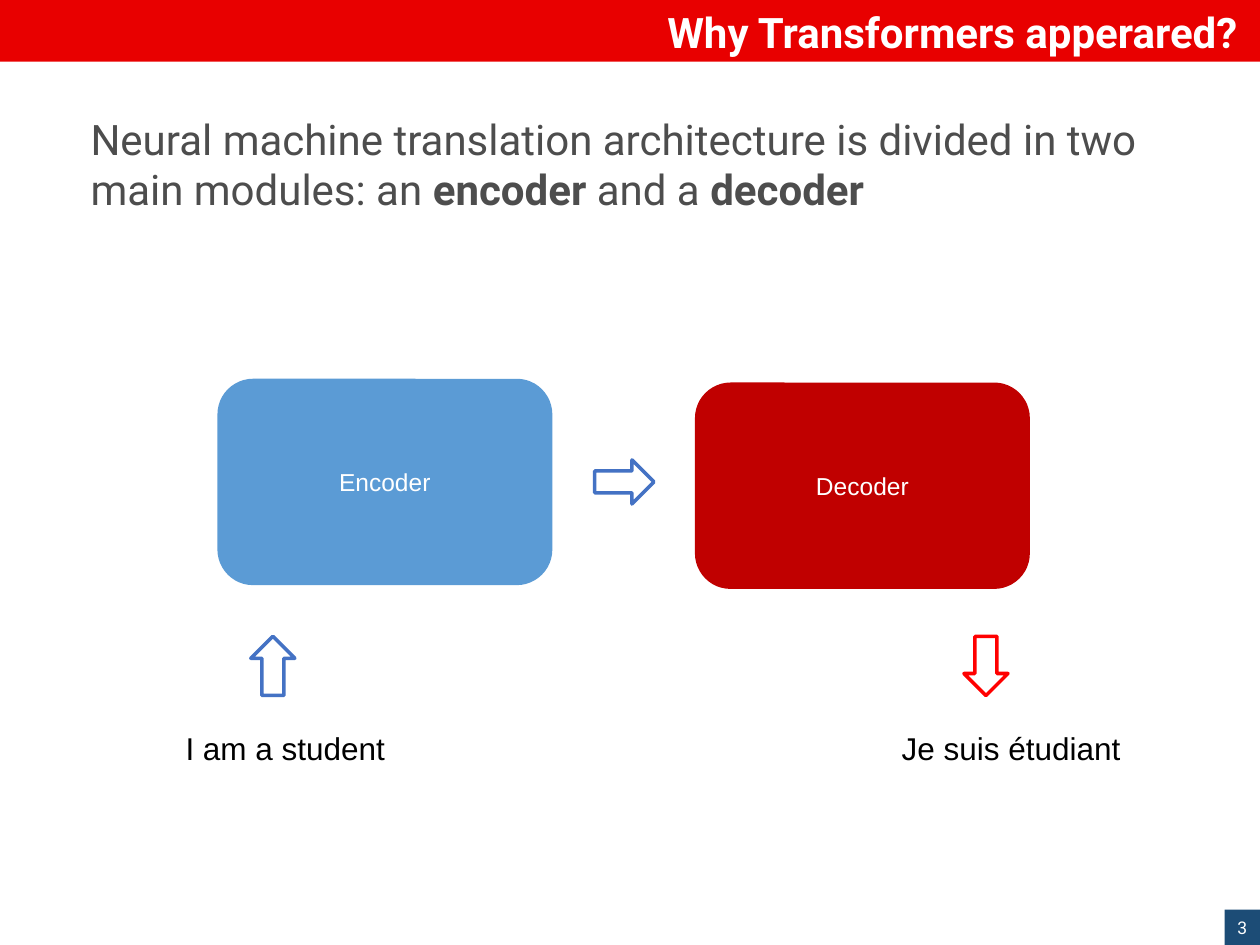
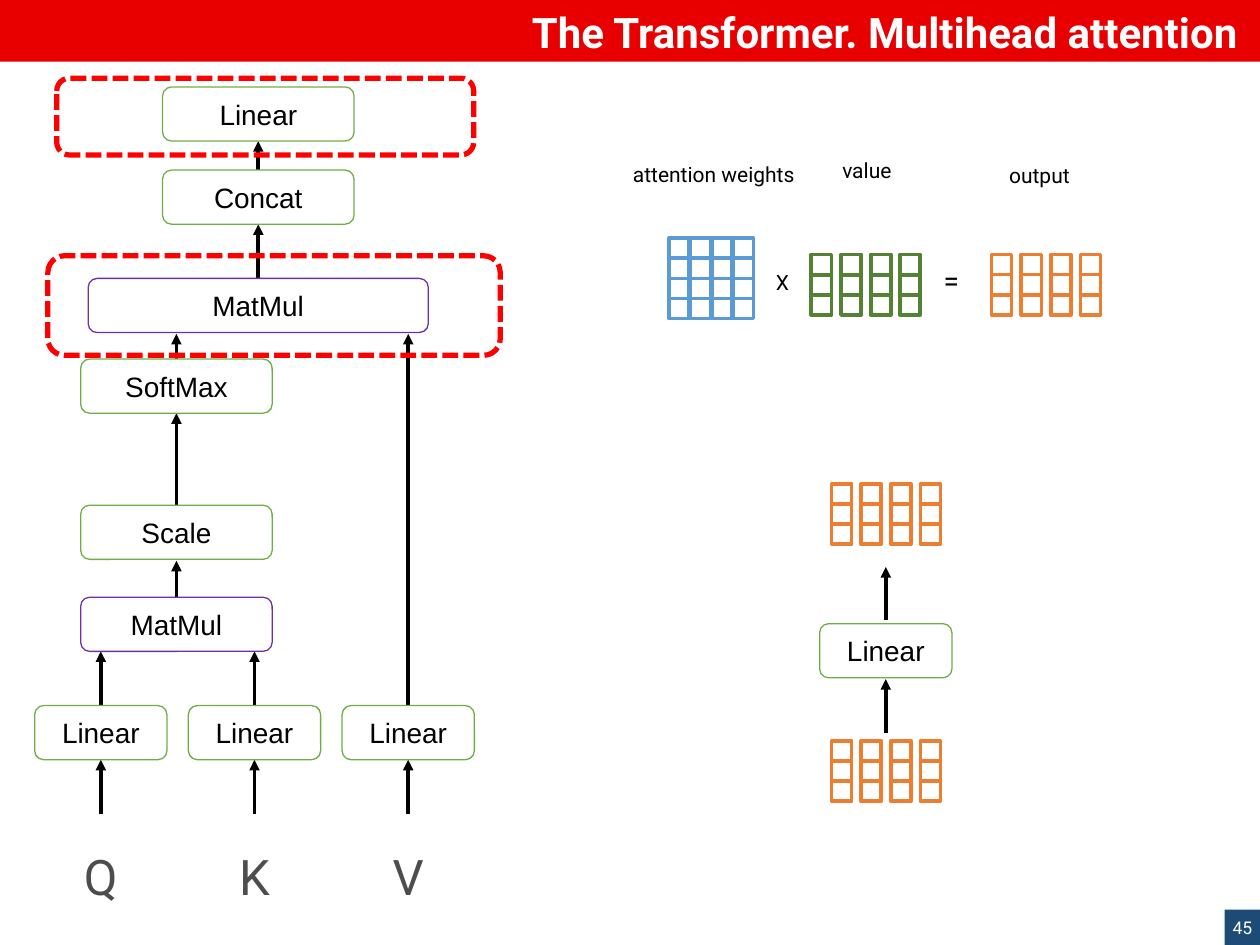
from lxml.etree import SubElement
from pptx import Presentation
from pptx.dml.color import RGBColor
from pptx.enum.dml import MSO_LINE
from pptx.enum.shapes import MSO_CONNECTOR, MSO_SHAPE
from pptx.enum.text import MSO_ANCHOR, PP_ALIGN
from pptx.oxml.ns import qn
from pptx.util import Inches, Pt

# Shared look
WIDTH, HEIGHT = 10, 7.5
BAND_HEIGHT, PAGE_BOX = 0.49, 0.28
HEADING, BODY = "Roboto", "Arial"
WHITE, BLACK, GREY = "FFFFFF", "000000", "4D4D4D"
BAND_RED, NAVY, RED = "E80000", "1C4C76", "FF0000"
BLUE, DARK_RED, ARROW_BLUE = "5B9BD5", "C00000", "4472C4"
GREEN, PURPLE, DARK_GREEN, ORANGE = "70AD47", "7030A0", "548235", "ED7D31"

# Encoder and decoder slide; inches as left, top, width, height
INTRO_TITLE, INTRO_PAGE = "Why Transformers apperared?", "3"
INTRO = [("Neural machine translation architecture is divided in two main modules: an ", False),
         ("encoder", True), (" and a ", False), ("decoder", True)]
MODULES = [("Encoder", 1.74, 3.02, BLUE), ("Decoder", 5.53, 3.05, DARK_RED)]
MODULE_SIZE = (2.63, 1.61)
SENTENCES = [("I am a student", 1.08), ("Je suis étudiant", 6.84)]
BLOCK_ARROWS = [(1.99, 5.05, 0, ARROW_BLUE), (4.78, 3.59, 90, ARROW_BLUE),
                (7.65, 5.05, 180, RED)]

# Multihead attention slide
ATTENTION_TITLE, ATTENTION_PAGE = "The Transformer. Multihead attention", "45"
BOX_HEIGHT = 0.43
LINEAR_WIDTH, STEP_WIDTH, WIDE_WIDTH = 1.05, 1.52, 2.7
LEFT_AXIS, TOP_AXIS, VALUE_AXIS, RIGHT_AXIS = 1.4, 2.05, 3.24, 7.03
BRANCH_AXES = [VALUE_AXIS - 1.22 * steps for steps in (2, 1, 0)]
BRANCHES = list(zip("QKV", BRANCH_AXES))
PROJECTION_TOP, INPUT_BOTTOM = 5.6, 6.46
STEPS = [  # label, centre, top, width, outline
    ("Linear", TOP_AXIS, 0.69, STEP_WIDTH, GREEN),
    ("Concat", TOP_AXIS, 1.35, STEP_WIDTH, GREEN),
    ("MatMul", TOP_AXIS, 2.21, WIDE_WIDTH, PURPLE),
    ("SoftMax", LEFT_AXIS, 2.85, STEP_WIDTH, GREEN),
    ("Scale", LEFT_AXIS, 4.01, STEP_WIDTH, GREEN),
    ("MatMul", LEFT_AXIS, 4.74, STEP_WIDTH, PURPLE),
    ("Linear", RIGHT_AXIS, 4.95, LINEAR_WIDTH, GREEN),
] + [("Linear", axis, PROJECTION_TOP, LINEAR_WIDTH, GREEN) for axis in BRANCH_AXES]
FLOWS = [  # centre, start, end
    (TOP_AXIS, 1.35, 1.12), (TOP_AXIS, 2.21, 1.78),
    (LEFT_AXIS, 2.85, 2.65), (LEFT_AXIS, 4.01, 3.28), (LEFT_AXIS, 4.74, 4.45),
    (RIGHT_AXIS, 5.82, 5.39), (RIGHT_AXIS, 4.92, 4.5),
] + [(axis, PROJECTION_TOP, end) for axis, end in zip(BRANCH_AXES, (5.17, 5.17, 2.65))] \
  + [(axis, INPUT_BOTTOM, PROJECTION_TOP + BOX_HEIGHT) for axis in BRANCH_AXES]
HIGHLIGHTS = [(0.45, 0.62, 3.31, 0.61), (0.38, 2.03, 3.59, 0.79)]
FORMULA = [  # text, box, size
    ("attention weights", (4.87, 1.23, 1.59, 0.42), 12),
    ("value", (6.32, 1.2, 1.12, 0.41), 12),
    ("output", (7.55, 1.24, 1.4, 0.3), 12),
    ("X", (6, 2.09, 0.42, 0.36), 12),
    ("=", (7.34, 2.04, 0.42, 0.36), 16)]
CELL = 0.16
MATRICES = [  # left, top, rows, column pitch, outline, line width
    (5.31, 1.89, 4, 0.17, BLUE, 2), (6.44, 2.02, 3, 0.235, DARK_GREEN, 2.25),
    (7.87, 2.02, 3, 0.235, ORANGE, 2), (6.6, 3.84, 3, 0.235, ORANGE, 2),
    (6.6, 5.88, 3, 0.235, ORANGE, 2)]
MATRIX_COLUMNS = 4


def color(value):
    return RGBColor.from_string(value)


def write(shape, runs, size, font, ink, align=PP_ALIGN.CENTER, anchor=MSO_ANCHOR.MIDDLE):
    """Fill a shape with one paragraph of (text, bold) runs."""
    frame = shape.text_frame
    frame.word_wrap = True
    frame.vertical_anchor = anchor
    paragraph = frame.paragraphs[0]
    paragraph.alignment = align
    for text, bold in runs:
        run = paragraph.add_run()
        run.text = text
        run.font.size, run.font.name, run.font.bold = Pt(size), font, bold
        run.font.color.rgb = color(ink)


def add_text(slide, box, runs, size, font, ink, **layout):
    shape = slide.shapes.add_textbox(*map(Inches, box))
    write(shape, runs, size, font, ink, **layout)


def add_box(slide, kind, box, fill=None, outline=None, width=2):
    shape = slide.shapes.add_shape(kind, *map(Inches, box))
    shape.shadow.inherit = False
    if fill:
        shape.fill.solid()
        shape.fill.fore_color.rgb = color(fill)
    else:
        shape.fill.background()
    if outline:
        shape.line.color.rgb = color(outline)
        shape.line.width = Pt(width)
    else:
        shape.line.fill.background()
    return shape


def add_flow(slide, axis, start, end):
    points = map(Inches, (axis, start, axis, end))
    connector = slide.shapes.add_connector(MSO_CONNECTOR.STRAIGHT, *points)
    connector.line.color.rgb = color(BLACK)
    connector.line.width = Pt(2)
    SubElement(connector.line._get_or_add_ln(), qn("a:tailEnd"), type="triangle")
    SubElement(connector._element.spPr, qn("a:effectLst"))


def add_matrix(slide, left, top, rows, pitch, outline, width):
    for column in range(MATRIX_COLUMNS):
        for row in range(rows):
            cell = (left + column * pitch, top + row * CELL, CELL, CELL)
            add_box(slide, MSO_SHAPE.RECTANGLE, cell, WHITE, outline, width)


def new_slide(presentation, title, page):
    """Add a blank slide with the title band and the page number."""
    slide = presentation.slides.add_slide(presentation.slide_layouts[6])
    add_box(slide, MSO_SHAPE.RECTANGLE, (0, 0, WIDTH, BAND_HEIGHT), BAND_RED)
    add_text(slide, (1.42, 0.09, 8.5, 0.33), [(title, True)], 24, HEADING, WHITE,
             align=PP_ALIGN.RIGHT)
    corner = (WIDTH - PAGE_BOX, HEIGHT - PAGE_BOX, PAGE_BOX, PAGE_BOX)
    number = add_box(slide, MSO_SHAPE.RECTANGLE, corner, NAVY)
    frame = number.text_frame
    frame.margin_left = frame.margin_right = Inches(0.04)
    frame.margin_top = frame.margin_bottom = Inches(0.04)
    write(number, [(page, False)], 10, HEADING, WHITE)
    return slide


def build_intro(presentation):
    slide = new_slide(presentation, INTRO_TITLE, INTRO_PAGE)
    add_text(slide, (0.62, 0.85, 8.78, 0.84), INTRO, 24, HEADING, GREY,
             align=PP_ALIGN.LEFT, anchor=MSO_ANCHOR.TOP)
    for label, left, top, fill in MODULES:
        module = add_box(slide, MSO_SHAPE.ROUNDED_RECTANGLE, (left, top, *MODULE_SIZE),
                         fill, fill)
        write(module, [(label, False)], 14, BODY, WHITE)
    for left, top, rotation, outline in BLOCK_ARROWS:
        arrow = add_box(slide, MSO_SHAPE.UP_ARROW, (left, top, 0.35, 0.47), WHITE, outline)
        arrow.rotation = rotation
    for sentence, left in SENTENCES:
        add_text(slide, (left, 5.74, 2.37, 0.4), [(sentence, False)], 18, BODY, BLACK,
                 anchor=MSO_ANCHOR.TOP)


def build_attention(presentation):
    slide = new_slide(presentation, ATTENTION_TITLE, ATTENTION_PAGE)
    # Layer diagram
    for flow in FLOWS:
        add_flow(slide, *flow)
    for label, axis, top, width, outline in STEPS:
        box = (axis - width / 2, top, width, BOX_HEIGHT)
        step = add_box(slide, MSO_SHAPE.ROUNDED_RECTANGLE, box, None, outline, 0.75)
        write(step, [(label, False)], 16, BODY, BLACK)
    for letter, axis in BRANCHES:
        add_text(slide, (axis - 0.25, 6.72, 0.5, 0.46), [(letter, False)], 28, HEADING, GREY)
    for box in HIGHLIGHTS:
        highlight = add_box(slide, MSO_SHAPE.ROUNDED_RECTANGLE, box, None, RED, 3)
        highlight.line.dash_style = MSO_LINE.SQUARE_DOT
    # Matrix product
    for text, box, size in FORMULA:
        add_text(slide, box, [(text, False)], size, HEADING, BLACK, anchor=MSO_ANCHOR.TOP)
    for matrix in MATRICES:
        add_matrix(slide, *matrix)


def main():
    presentation = Presentation()
    presentation.slide_width, presentation.slide_height = Inches(WIDTH), Inches(HEIGHT)
    build_intro(presentation)
    build_attention(presentation)
    presentation.save("out.pptx")


if __name__ == "__main__":
    main()
